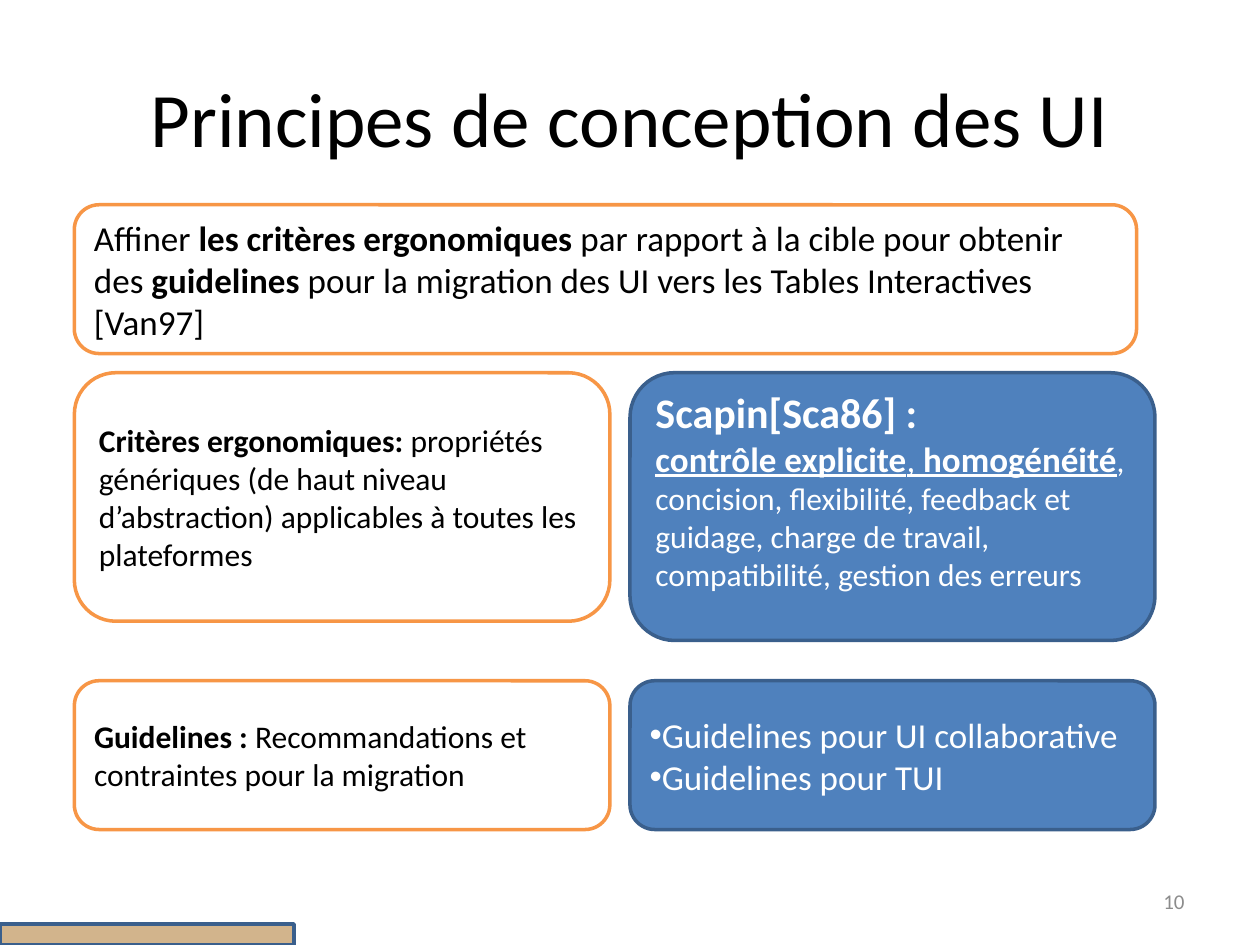
from dataclasses import dataclass

from lxml import etree
from pptx import Presentation
from pptx.dml.color import RGBColor
from pptx.enum.shapes import MSO_SHAPE
from pptx.enum.text import MSO_ANCHOR, PP_ALIGN
from pptx.oxml.ns import qn
from pptx.util import Pt

ROUNDED = MSO_SHAPE.ROUNDED_RECTANGLE
RECTANGLE = MSO_SHAPE.RECTANGLE
MIDDLE = MSO_ANCHOR.MIDDLE
LEFT, CENTER, RIGHT = PP_ALIGN.LEFT, PP_ALIGN.CENTER, PP_ALIGN.RIGHT

FONT = "Calibri"
BLACK = RGBColor(0x00, 0x00, 0x00)
WHITE = RGBColor(0xFF, 0xFF, 0xFF)
GRAY = RGBColor(0x8C, 0x8C, 0x8C)
ORANGE = RGBColor(0xF7, 0x96, 0x46)
BLUE = RGBColor(0x4F, 0x81, 0xBD)
DARK_BLUE = RGBColor(0x3A, 0x5F, 0x8C)
TAN = RGBColor(0xD2, 0xB4, 0x8C)

LEFT_COLUMN, RIGHT_COLUMN = 42.5, 360
LEFT_WIDTH, RIGHT_WIDTH = 306, 300
MIDDLE_ROW, BOTTOM_ROW = 213, 389
SHORT_HEIGHT = 85


@dataclass(frozen=True)
class Span:
    text: str
    size: float
    bold: bool = False
    underline: bool = False


@dataclass(frozen=True)
class Style:
    fill: RGBColor
    line: RGBColor
    text: RGBColor


@dataclass(frozen=True)
class Card:
    left: float
    top: float
    width: float
    height: float
    style: Style
    paragraphs: tuple[tuple[Span, ...], ...]
    bulleted: bool = False
    bottom_margin: float = 3.6


OUTLINED = Style(WHITE, ORANGE, BLACK)
FILLED = Style(BLUE, DARK_BLUE, WHITE)

CARDS = (
    Card(LEFT_COLUMN, 117, 607, SHORT_HEIGHT, OUTLINED, ((
        Span("Affiner ", 20),
        Span("les critères ergonomiques ", 20, bold=True),
        Span("par rapport à la cible pour obtenir des ", 20),
        Span("guidelines ", 20, bold=True),
        Span("pour la migration des UI vers les Tables Interactives [Van97]", 20),
    ),)),
    Card(LEFT_COLUMN, MIDDLE_ROW, LEFT_WIDTH, 142, OUTLINED, ((
        Span("Critères ergonomiques: ", 18, bold=True),
        Span("propriétés génériques (de haut niveau d’abstraction) "
             "applicables à toutes les plateformes", 18),
    ),)),
    Card(RIGHT_COLUMN, MIDDLE_ROW, RIGHT_WIDTH, 153, FILLED, (
        (Span("Scapin[Sca86] :", 24, bold=True),),
        (
            Span("contrôle explicite", 20, bold=True, underline=True),
            Span(", ", 20, underline=True),
            Span("homogénéité", 20, bold=True, underline=True),
            Span(", concision, flexibilité, feedback et guidage, charge de travail, "
                 "compatibilité, gestion des erreurs", 18),
        ),
    ), bottom_margin=23),
    Card(LEFT_COLUMN, BOTTOM_ROW, LEFT_WIDTH, SHORT_HEIGHT, OUTLINED, ((
        Span("Guidelines : ", 18, bold=True),
        Span("Recommandations et contraintes pour la migration", 18),
    ),)),
    Card(RIGHT_COLUMN, BOTTOM_ROW, RIGHT_WIDTH, SHORT_HEIGHT, FILLED, (
        (Span("Guidelines pour UI collaborative", 20),),
        (Span("Guidelines pour TUI", 20),),
    ), bulleted=True),
)


def format_font(font, size: float, color: RGBColor) -> None:
    font.name = FONT
    font.size = Pt(size)
    font.color.rgb = color


def add_box(slide, kind, left: float, top: float, width: float, height: float,
            fill: RGBColor, line: RGBColor):
    shape = slide.shapes.add_shape(kind, Pt(left), Pt(top), Pt(width), Pt(height))
    shape.shadow.inherit = False
    shape.fill.solid()
    shape.fill.fore_color.rgb = fill
    shape.line.color.rgb = line
    shape.line.width = Pt(2)
    return shape


def add_bullet(paragraph) -> None:
    properties = paragraph._p.get_or_add_pPr()
    font = etree.SubElement(properties, qn("a:buFont"))
    font.set("typeface", "Arial")
    bullet = etree.SubElement(properties, qn("a:buChar"))
    bullet.set("char", "•")


def add_card(slide, card: Card) -> None:
    shape = add_box(slide, ROUNDED, card.left, card.top, card.width, card.height,
                    card.style.fill, card.style.line)
    frame = shape.text_frame
    frame.word_wrap = True
    frame.vertical_anchor = MIDDLE
    frame.margin_bottom = Pt(card.bottom_margin)
    for index, spans in enumerate(card.paragraphs):
        paragraph = frame.add_paragraph() if index else frame.paragraphs[0]
        paragraph.alignment = LEFT
        if card.bulleted:
            add_bullet(paragraph)
        for span in spans:
            run = paragraph.add_run()
            run.text = span.text
            format_font(run.font, span.size, card.style.text)
            run.font.bold = span.bold
            run.font.underline = span.underline


def set_line(shape, text: str, size: float, color: RGBColor, alignment) -> None:
    frame = shape.text_frame
    frame.text = text
    frame.word_wrap = True
    frame.vertical_anchor = MIDDLE
    paragraph = frame.paragraphs[0]
    paragraph.alignment = alignment
    format_font(paragraph.runs[0].font, size, color)


def main() -> None:
    presentation = Presentation()
    presentation.slide_width, presentation.slide_height = Pt(720), Pt(540)
    slide = presentation.slides.add_slide(presentation.slide_layouts[5])

    title = slide.shapes.title
    title.left, title.top, title.width, title.height = Pt(36), Pt(21.6), Pt(648), Pt(90)
    set_line(title, "Principes de conception des UI", 44, BLACK, CENTER)

    number = slide.shapes.add_textbox(Pt(516), Pt(500.5), Pt(168), Pt(28.75))
    set_line(number, "10", 12, GRAY, RIGHT)

    for card in CARDS:
        add_card(slide, card)

    add_box(slide, RECTANGLE, 0, 528, 168, 12, TAN, DARK_BLUE)
    presentation.save("out.pptx")


if __name__ == "__main__":
    main()
